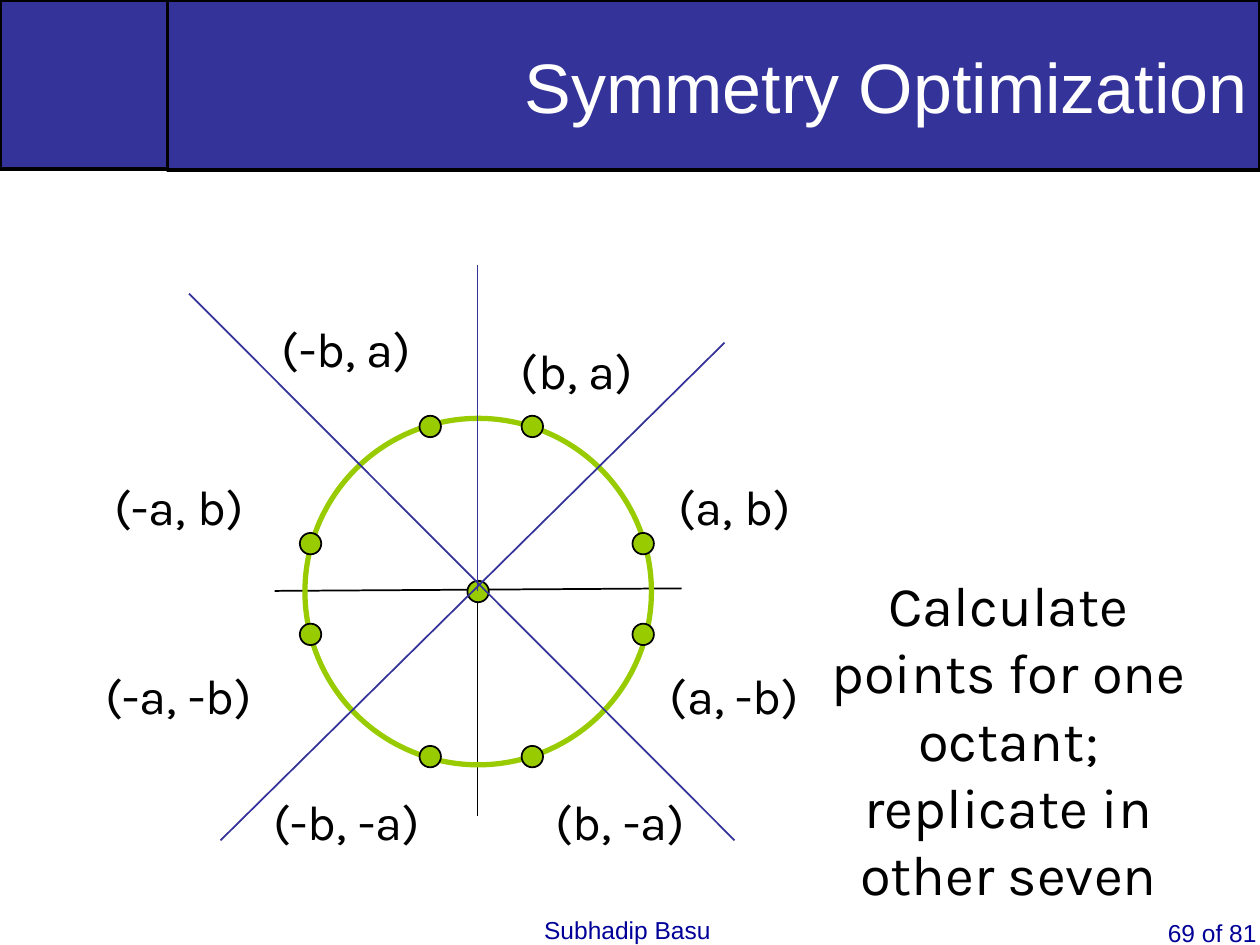
from itertools import product
from typing import NamedTuple, Optional

from lxml import etree
from pptx import Presentation
from pptx import util as u
from pptx.dml.color import RGBColor
from pptx.enum import shapes, text
from pptx.oxml import ns

NAVY = RGBColor(0x33, 0x33, 0x99)
BLUE = RGBColor(0x00, 0x00, 0x99)
GREEN = RGBColor(0x99, 0xCC, 0x00)
BLACK = RGBColor(0, 0, 0)
WHITE = RGBColor(0xFF, 0xFF, 0xFF)

RECT = shapes.MSO_SHAPE.RECTANGLE
OVAL = shapes.MSO_SHAPE.OVAL
LEFT, MID, RIGHT = text.PP_ALIGN.LEFT, text.PP_ALIGN.CENTER, text.PP_ALIGN.RIGHT


class Box(NamedTuple):
    x: float
    y: float
    w: float
    h: float


class Font(NamedTuple):
    name: str
    size: float
    color: RGBColor


class Ray(NamedTuple):
    x1: float
    y1: float
    x2: float
    y2: float
    color: RGBColor


class Label(NamedTuple):
    words: str
    x: float
    y: float


HEAD = Font("Arial", 40, WHITE)
FOOT = Font("Arial", 14, BLUE)
MARK = Font("Karla", 28, BLACK)
NOTE = Font("Karla", 32, BLACK)

DOT = 0.17
AXES = [
    Ray(3.79, 3.07, 3.79, 6.48, BLACK),
    Ray(2.18, 4.69, 5.41, 4.67, BLACK),
]
RAYS = [
    Ray(1.75, 6.67, 5.75, 2.72, NAVY),
    Ray(3.79, 4.69, 3.79, 2.1, NAVY),
    Ray(1.5, 2.33, 5.83, 6.67, NAVY),
]
# Left and top of each dot: four beside the centre, four above and below it
DOTS = [
    (3.71, 4.61),
    *product((2.38, 5.02), (4.23, 4.95)),
    *product((3.33, 4.14), (3.3, 5.92)),
]
LABELS = [
    Label("(a, b)", 5.08, 3.73),
    Label("(b, a)", 3.83, 2.65),
    Label("(a, -b)", 5.08, 5.23),
    Label("(b, -a)", 4.17, 6.23),
    Label("(-b, a)", 2, 2.48),
    Label("(-b, -a)", 2, 6.23),
    Label("(-a, b)", 0.67, 3.73),
    Label("(-a, -b)", 0.67, 5.23),
]


def place(box: Box) -> list:
    return [u.Inches(n) for n in box]


def write(frame, words: str, font: Font, align) -> None:
    par = frame.paragraphs[0]
    par.alignment = align
    run = par.add_run()
    run.text = words
    run.font.name = font.name
    run.font.size = u.Pt(font.size)
    run.font.color.rgb = font.color


def add_text(slide, box: Box, words: str, font: Font, align=MID, wrap: bool = True) -> None:
    frame = slide.shapes.add_textbox(*place(box)).text_frame
    frame.word_wrap = wrap
    write(frame, words, font, align)


def add_form(slide, kind, box: Box, fill: Optional[RGBColor], line: RGBColor, width: float):
    form = slide.shapes.add_shape(kind, *place(box))
    form.shadow.inherit = False
    if fill is None:
        form.fill.background()
    else:
        form.fill.solid()
        form.fill.fore_color.rgb = fill
    form.line.color.rgb = line
    form.line.width = u.Pt(width)
    return form


def add_ray(slide, ray: Ray) -> None:
    ends = [u.Inches(n) for n in ray[:4]]
    line = slide.shapes.add_connector(shapes.MSO_CONNECTOR.STRAIGHT, *ends)
    line.line.color.rgb = ray.color
    line.line.width = u.Pt(1)
    etree.SubElement(line._element.spPr, ns.qn("a:effectLst"))


def main() -> None:
    deck = Presentation()
    deck.slide_width, deck.slide_height = u.Inches(10), u.Inches(7.5)
    slide = deck.slides.add_slide(deck.slide_layouts[6])

    # Header and footer
    add_form(slide, RECT, Box(0, 0, 1.33, 1.34), NAVY, BLACK, 2)
    add_text(slide, Box(9.17, 7.24, 0.98, 0.57), "69 of 81", FOOT, LEFT)
    add_text(slide, Box(4.22, 7.21, 1.52, 0.34), "Subhadip Basu", FOOT, LEFT, False)
    title = add_form(slide, RECT, Box(1.33, 0, 8.67, 1.35), NAVY, BLACK, 2)
    title.text_frame.vertical_anchor = text.MSO_ANCHOR.MIDDLE
    write(title.text_frame, "Symmetry Optimization", HEAD, RIGHT)

    # Axes, circle and its symmetric points
    for axis in AXES:
        add_ray(slide, axis)
    centre, *rim = DOTS
    add_form(slide, OVAL, Box(*centre, DOT, DOT), GREEN, BLACK, 1)
    add_form(slide, OVAL, Box(2.42, 3.32, 2.75, 2.75), None, GREEN, 3)
    for dot in rim:
        add_form(slide, OVAL, Box(*dot, DOT, DOT), GREEN, BLACK, 1)

    # Coordinates and remark
    for label in LABELS:
        add_text(slide, Box(label.x, label.y, 1.5, 0.57), label.words, MARK)
    remark = "Calculate points for one octant; replicate in other seven"
    add_text(slide, Box(6.42, 4.48, 3.17, 2.77), remark, NOTE)

    # Octant borders
    for ray in RAYS:
        add_ray(slide, ray)

    deck.save("out.pptx")


if __name__ == "__main__":
    main()
